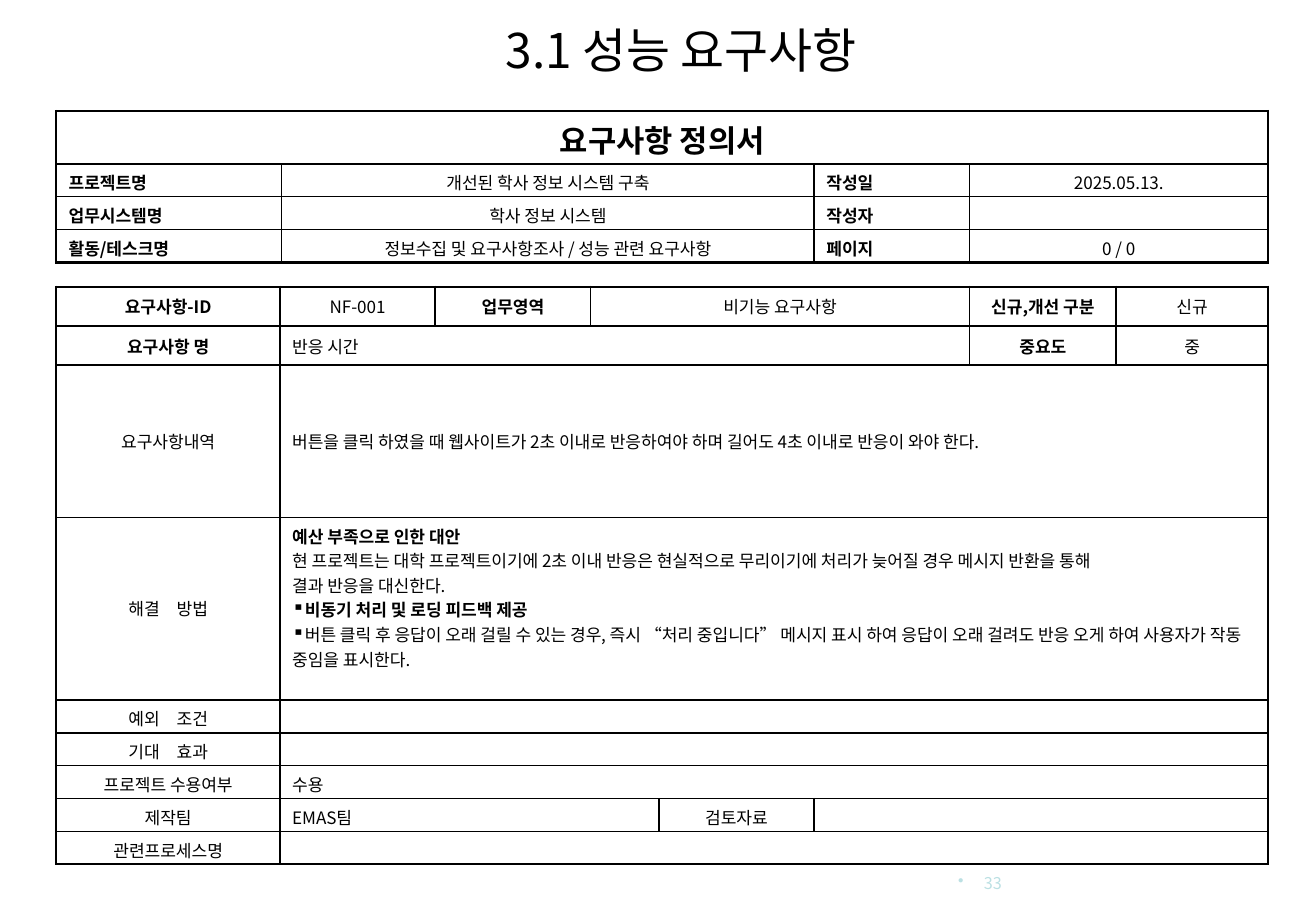
from pptx import Presentation
from pptx.dml.color import RGBColor
from pptx.enum.text import MSO_ANCHOR as Anchor, MSO_AUTO_SIZE as AutoSize, PP_ALIGN as Align
from pptx.oxml.ns import qn
from pptx.util import Pt
from lxml.etree import SubElement

FONT = "Noto Sans CJK KR"
BLACK, PALE_TEAL = "000000", "BBE0E3"
THIN, THICK = 1, 1.5
LEFT, CENTER, JUSTIFY = Align.LEFT, Align.CENTER, Align.JUSTIFY

# Content: each cell is (text, columns spanned, bold, alignment)
TITLE = "3.1 성능 요구사항"
PAGE_NUMBER = "33"


def heading(text, align=CENTER):
    return text, 1, True, align


def value(text, columns=1, align=CENTER):
    return text, columns, False, align


DOCUMENT_ROWS = [
    [("요구사항 정의서", 4, True, CENTER)],
    [heading("프로젝트명", JUSTIFY), value("개선된 학사 정보 시스템 구축"),
     heading("작성일", JUSTIFY), value("2025.05.13.")],
    [heading("업무시스템명", JUSTIFY), value("학사 정보 시스템"),
     heading("작성자", JUSTIFY), value("")],
    [heading("활동/테스크명", JUSTIFY), value("정보수집 및 요구사항조사 / 성능 관련 요구사항"),
     heading("페이지", JUSTIFY), value("0 / 0")],
]
SOLUTION = [  # text, bold, bulleted
    ("예산 부족으로 인한 대안", True, False),
    ("현 프로젝트는 대학 프로젝트이기에 2초 이내 반응은 현실적으로 무리이기에 "
     "처리가 늦어질 경우 메시지 반환을 통해", False, False),
    ("결과 반응을 대신한다.", False, False),
    ("비동기 처리 및 로딩 피드백 제공", True, True),
    ("버튼 클릭 후 응답이 오래 걸릴 수 있는 경우, 즉시 “처리 중입니다” 메시지 표시 하여 "
     "응답이 오래 걸려도 반응 오게 하여 사용자가 작동 중임을 표시한다.", False, True),
]
REQUIREMENT_ROWS = [
    [heading("요구사항-ID"), value("NF-001"), heading("업무영역"),
     value("비기능 요구사항", 3), heading("신규,개선 구분"), value("신규")],
    [heading("요구사항 명"), value("반응 시간", 5, LEFT), heading("중요도"), value("중")],
    [value("요구사항내역"),
     value("버튼을 클릭 하였을 때 웹사이트가 2초 이내로 반응하여야 하며 "
           "길어도 4초 이내로 반응이 와야 한다.", 7, LEFT)],
    [value("해결　방법"), value("\n".join(line for line, _, _ in SOLUTION), 7, LEFT)],
    [value("예외　조건"), value("", 7, LEFT)],
    [value("기대　효과"), value("", 7, LEFT)],
    [value("프로젝트 수용여부"), value("수용", 7, LEFT)],
    [value("제작팀"), value("EMAS팀", 3, LEFT), value("검토자료"), value("", 3, LEFT)],
    [value("관련프로세스명"), value("", 7, LEFT)],
]
SOLUTION_ROW = 3

# Sizes in points
PAGE_SIZE = (771, 540)
TABLE_LEFT = 33
DOCUMENT_TOP, DOCUMENT_COLUMNS = 65, [132, 312, 91, 175]
DOCUMENT_HEIGHTS = [31] + [19] * 3
REQUIREMENT_TOP, REQUIREMENT_COLUMNS = 168, [131, 91, 91, 40, 91, 91, 86, 89]
REQUIREMENT_HEIGHTS = [23, 23, 89, 107] + [18] * 5


def color(hex_text):
    return RGBColor.from_string(hex_text)


def format_paragraph(para, size, align, bold=False, ink=BLACK):
    para.alignment = align
    for span in para.runs:
        font = span.font
        font.name, font.size, font.bold = FONT, Pt(size), bold
        font.color.rgb = color(ink)
        SubElement(font._element, qn("a:ea"), typeface=FONT)
    if not para.runs:
        para._p.get_or_add_endParaRPr().set("sz", str(size * 100))


def add_bullet(para, mark, hanging=0):
    props = para._p.get_or_add_pPr()
    props.set("marL", str(Pt(hanging)))
    props.set("indent", str(-Pt(hanging)))
    SubElement(props, qn("a:buChar"), char=mark)


def set_borders(cell, widths):
    props = cell._tc.get_or_add_tcPr()
    for position, (side, width) in enumerate(widths.items()):
        line = SubElement(props, qn(f"a:ln{side}"), w=str(Pt(width)))
        fill = SubElement(line, qn("a:solidFill"))
        SubElement(fill, qn("a:srgbClr"), val=BLACK)
        props.insert(position, line)


def add_form(page, top, columns, heights, rows, heading_size=10, thick_rules=()):
    """Draw a bordered form; thick_rules are the inner row lines drawn thick."""
    frame = page.shapes.add_table(len(heights), len(columns), Pt(TABLE_LEFT), Pt(top),
                                  Pt(sum(columns)), Pt(sum(heights)))
    table = frame.table
    table.first_row = table.horz_banding = False
    for column, width in zip(table.columns, columns):
        column.width = Pt(width)
    for row, height in zip(table.rows, heights):
        row.height = Pt(height)
    thick_lines = {0, len(rows), *thick_rules}

    for r, cells in enumerate(rows):
        start = 0
        for text, count, bold, align in cells:
            end = start + count
            cell = table.cell(r, start)
            if count > 1:
                cell.merge(table.cell(r, end - 1))
            cell.fill.background()
            set_borders(cell, {
                "L": THICK if start == 0 else THIN,
                "R": THICK if end == len(columns) else THIN,
                "T": THICK if r in thick_lines else THIN,
                "B": THICK if r + 1 in thick_lines else THIN,
            })
            cell.vertical_anchor = Anchor.MIDDLE
            cell.text_frame.text = text
            for para in cell.text_frame.paragraphs:
                format_paragraph(para, heading_size if r == 0 else 10, align, bold)
            start = end
    return table


def main():
    deck = Presentation()
    deck.slide_width, deck.slide_height = map(Pt, PAGE_SIZE)
    page = deck.slides.add_slide(deck.slide_layouts[5])

    # Title
    title = page.shapes.title
    title.left, title.top, title.width, title.height = map(Pt, (261, 6, 276, 104))
    frame = title.text_frame
    frame.text = TITLE
    frame.auto_size = AutoSize.NONE
    frame.vertical_anchor = Anchor.TOP
    frame.margin_top = Pt(6)
    format_paragraph(frame.paragraphs[0], 28, CENTER)

    # Page number
    box = page.shapes.add_textbox(Pt(550), Pt(502), Pt(44), Pt(30))
    frame = box.text_frame
    frame.word_wrap = True
    frame.vertical_anchor = Anchor.MIDDLE
    frame.text = PAGE_NUMBER
    format_paragraph(frame.paragraphs[0], 9.5, Align.RIGHT, ink=PALE_TEAL)
    add_bullet(frame.paragraphs[0], "•", 15)

    # Requirement form, with its mixed solution text
    form = add_form(page, REQUIREMENT_TOP, REQUIREMENT_COLUMNS, REQUIREMENT_HEIGHTS,
                    REQUIREMENT_ROWS, thick_rules=(1, 2))
    solution = form.cell(SOLUTION_ROW, 1)
    solution.vertical_anchor = Anchor.TOP
    for para, (_, bold, bulleted) in zip(solution.text_frame.paragraphs, SOLUTION):
        para.runs[0].font.bold = bold
        if bulleted:
            add_bullet(para, "▪")

    # Document header form
    add_form(page, DOCUMENT_TOP, DOCUMENT_COLUMNS, DOCUMENT_HEIGHTS, DOCUMENT_ROWS,
             heading_size=18)

    deck.save("out.pptx")


if __name__ == "__main__":
    main()
